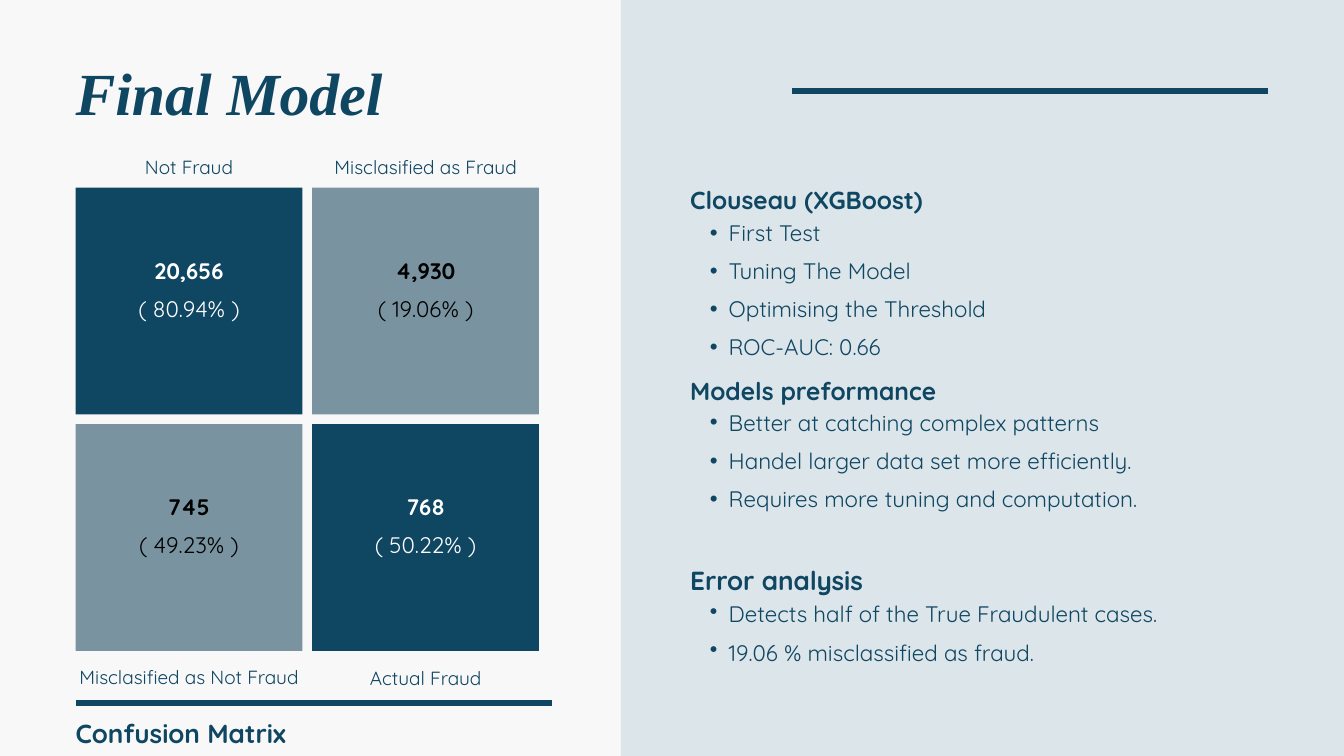
from lxml import etree
from pptx import Presentation
from pptx import util as u
from pptx.dml.color import RGBColor
from pptx.enum import shapes, text
from pptx.oxml.ns import qn

PX = 9525
COLORS = {"paper": "F8F8F8", "panel": "DBE5EA", "navy": "0F4662",
          "slate": "7994A0", "white": "FFFFFF", "black": "000000"}
SANS, SERIF = "Quicksand", "Times New Roman"
LEFT, CENTER = text.PP_ALIGN.LEFT, text.PP_ALIGN.CENTER

# Heading, heading size, heading height, offset of the list, list items
SECTIONS = [
    (247, "Clouseau (XGBoost)", 26.4, 55, 50,
     ["First Test", "Tuning The Model", "Optimising the Threshold", "ROC-AUC: 0.66"]),
    (519, "Models preformance", 26.4, 55, 49,
     ["Better at catching complex patterns", "Handel larger data set more efficiently.",
      "Requires more tuning and computation."]),
    (788, "Error analysis", 28, 60, 54,
     ["Detects half of the True Fraudulent cases.", "19.06 % misclassified as fraud."]),
]
# Column, row, label, label top, count, share
CELLS = [
    (0, 0, "Not Fraud", 0, "20,656", "( 80.94% )"),
    (1, 0, "Misclasified as Fraud", 0, "4,930", "( 19.06% )"),
    (0, 1, "Misclasified as Not Fraud", 729, "745", "( 49.23% )"),
    (1, 1, "Actual Fraud", 731, "768", "( 50.22% )"),
]


def color(name):
    return RGBColor.from_string(COLORS[name])


def box(left, top, width, height):
    return [round(value * PX) for value in (left, top, width, height)]


def add_bullet(paragraph):
    properties = paragraph._p.get_or_add_pPr()
    properties.set("marL", str(55 * PX))
    properties.set("indent", str(-27 * PX))
    etree.SubElement(properties, qn("a:buChar"), char="•")


def write(shape, lines, size, spacing, name=SANS, ink="navy", bold=False,
          italic=False, align=LEFT, bullets=False):
    """Fill a shape with paragraphs of one style and return them."""
    frame = shape.text_frame
    frame.text = "\n".join(lines)
    frame.word_wrap = True
    frame.auto_size = text.MSO_AUTO_SIZE.NONE
    frame.vertical_anchor = text.MSO_ANCHOR.TOP
    frame.margin_left = frame.margin_right = frame.margin_top = frame.margin_bottom = 0
    for paragraph in frame.paragraphs:
        if bullets:
            paragraph.level = 1
            add_bullet(paragraph)
        paragraph.alignment = align
        paragraph.line_spacing = u.Pt(spacing)
        paragraph.space_before = u.Pt(0)
        font = paragraph.font
        font.name, font.size, font.bold, font.italic = name, u.Pt(size), bold, italic
        font.color.rgb = color(ink)
    return frame.paragraphs


def text_shape(slide, area, placeholder=None):
    """Move the given placeholder to the area, or add a text box there."""
    if placeholder is None:
        return slide.shapes.add_textbox(*box(*area))
    placeholder.left, placeholder.top, placeholder.width, placeholder.height = box(*area)
    return placeholder


def add_rectangle(slide, area, fill):
    shape = slide.shapes.add_shape(shapes.MSO_SHAPE.RECTANGLE, *box(*area))
    shape.shadow.inherit = False
    shape.fill.solid()
    shape.fill.fore_color.rgb = color(fill)
    shape.line.fill.background()
    return shape


def add_rule(slide, left, top, width):
    x, y, length, _ = box(left, top, width, 0)
    rule = slide.shapes.add_connector(shapes.MSO_CONNECTOR.STRAIGHT, x, y, x + length, y)
    rule.line.color.rgb = color("navy")
    rule.line.width = u.Pt(6)
    etree.SubElement(rule._element.spPr, qn("a:effectLst"))


def add_matrix(slide, left, top, side=324, step=338):
    """Draw the four cells with their labels above and below."""
    for column, row, label, label_top, count, share in CELLS:
        x = left + column * step
        fill, ink = ("navy", "white") if column == row else ("slate", "black")
        cell = add_rectangle(slide, (x, top + 60 + row * step, side, side), fill)
        write(cell, [count, share], 24, 40.8, ink=ink, align=CENTER)[0].font.bold = True
        cell.text_frame.vertical_anchor = text.MSO_ANCHOR.MIDDLE
        cell.text_frame.margin_bottom = 50 * PX
        caption = text_shape(slide, (x, top + label_top, side, 42))
        write(caption, [label], 20.4, 34.6, align=CENTER)


def add_section(slide, left, section, placeholders):
    top, heading, size, height, offset, items = section
    heading_holder, list_holder = placeholders
    title = text_shape(slide, (left, top, 903, height), heading_holder)
    write(title, [heading], size, size * 1.7, bold=True)
    area = (left, top + offset, 903, round(54.4 * len(items)))
    write(text_shape(slide, area, list_holder), items, 24, 40.8, bullets=True)


def main():
    presentation = Presentation()
    presentation.slide_width, presentation.slide_height = 1920 * PX, 1080 * PX
    slide = presentation.slides.add_slide(presentation.slide_layouts.get_by_name("Comparison"))
    slide.background.fill.solid()
    slide.background.fill.fore_color.rgb = color("paper")
    holders = slide.placeholders

    panel = add_rectangle(slide, (887, 0, 1033, 1080), "panel")
    slide.shapes._spTree.insert(2, panel._element)  # behind the placeholders

    title = text_shape(slide, (108, 63, 996, 114), slide.shapes.title)
    write(title, ["Final Model"], 64, 89.6, name=SERIF, bold=True, italic=True)
    add_matrix(slide, 108, 208)
    add_rule(slide, 108, 1004, 681)
    caption = text_shape(slide, (108, 1006, 903, 60))
    write(caption, ["Confusion Matrix"], 28, 47.6, bold=True)

    add_rule(slide, 1131, 130, 681)
    pairs = [(holders[1], holders[2]), (holders[3], holders[4]), (None, None)]
    for section, pair in zip(SECTIONS, pairs):
        add_section(slide, 986, section, pair)
    presentation.save("out.pptx")


if __name__ == "__main__":
    main()
